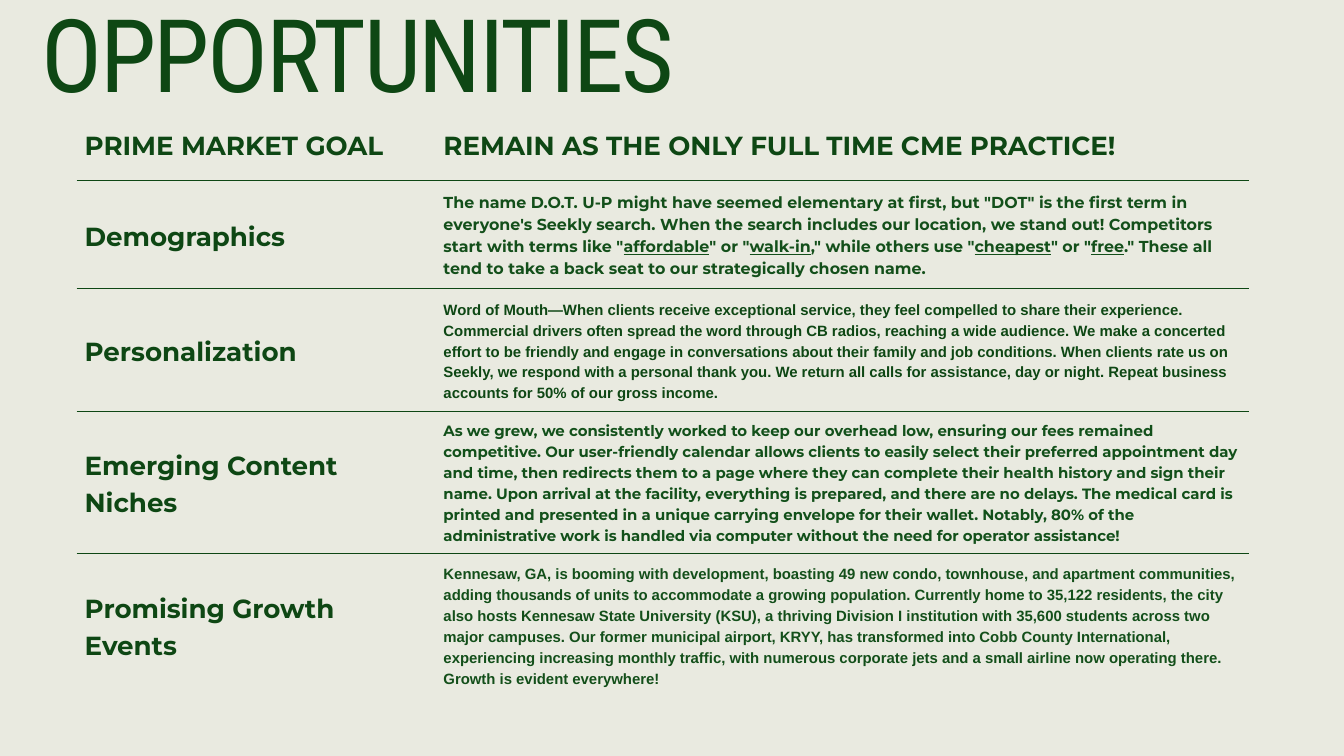
"""Build the market opportunities slide with its table of goals."""
from lxml import etree
from pptx import Presentation
from pptx import util as u
from pptx.dml.color import RGBColor
from pptx.enum import text
from pptx.oxml import ns

INK, MOSS, FERN, PAPER = "0E4714", "134F1A", "12501A", "E9EAE0"
SANS, ARIAL, SLIM = "Montserrat", "Arial", "Roboto Condensed"
TITLE = "OPPORTUNITIES"
COLS = [5.34, 12.1]
LEFT, TOP, PAD = 1.14, 1.59, 0.12

ROWS = [
    (1.1, "PRIME MARKET GOAL", "REMAIN AS THE ONLY FULL TIME CME PRACTICE!", 28, SANS, INK),
    (1.6, "Demographics",
     "The name D.O.T. U-P might have seemed elementary at first, but \"DOT\" is the first term in "
     "everyone's Seekly search. When the search includes our location, we stand out! Competitors "
     "start with terms like \"|affordable|\" or \"|walk-in|,\" while others use \"|cheapest|\" or "
     "\"|free|.\" These all tend to take a back seat to our strategically chosen name.",
     17, SANS, MOSS),
    (1.83, "Personalization",
     "Word of Mouth—When clients receive exceptional service, they feel compelled to share their "
     "experience. Commercial drivers often spread the word through CB radios, reaching a wide "
     "audience. We make a concerted effort to be friendly and engage in conversations about their "
     "family and job conditions. When clients rate us on Seekly, we respond with a personal thank "
     "you. We return all calls for assistance, day or night. Repeat business accounts for 50% of "
     "our gross income.", 16, ARIAL, INK),
    (2.12, "Emerging Content Niches",
     "As we grew, we consistently worked to keep our overhead low, ensuring our fees remained "
     "competitive. Our user-friendly calendar allows clients to easily select their preferred "
     "appointment day and time, then redirects them to a page where they can complete their health "
     "history and sign their name. Upon arrival at the facility, everything is prepared, and there "
     "are no delays. The medical card is printed and presented in a unique carrying envelope for "
     "their wallet. Notably, 80% of the administrative work is handled via computer without the "
     "need for operator assistance!", 16, SANS, FERN),
    (2.12, "Promising Growth Events",
     "Kennesaw, GA, is booming with development, boasting 49 new condo, townhouse, and apartment "
     "communities, adding thousands of units to accommodate a growing population. Currently home "
     "to 35,122 residents, the city also hosts Kennesaw State University (KSU), a thriving "
     "Division I institution with 35,600 students across two major campuses. Our former municipal "
     "airport, KRYY, has transformed into Cobb County International, experiencing increasing "
     "monthly traffic, with numerous corporate jets and a small airline now operating there. "
     "Growth is evident everywhere!", 16, ARIAL, MOSS),
]


def tint(code):
    return RGBColor.from_string(code)


def write(para, words, size, face, ink, bold, lead):
    para.line_spacing = u.Pt(lead)
    for i, part in enumerate(words.split("|")):
        run = para.add_run()
        run.text = part
        font = run.font
        font.size, font.name, font.bold = u.Pt(size), face, bold
        font.color.rgb = tint(ink)
        if i % 2:
            font.underline = True


def rule(cell, side, shown):
    props = cell._tc.get_or_add_tcPr()
    line = etree.SubElement(props, ns.qn("a:ln" + side), w=str(u.Pt(1.5) if shown else 0))
    if shown:
        fill = etree.SubElement(line, ns.qn("a:solidFill"))
        etree.SubElement(fill, ns.qn("a:srgbClr"), val=INK)
    else:
        etree.SubElement(line, ns.qn("a:noFill"))


def add_title(slide):
    box = slide.shapes.add_textbox(*map(u.Inches, (0.62, 0.37, 17.75, 1.67)))
    frame = box.text_frame
    frame.word_wrap = True
    frame.auto_size = text.MSO_AUTO_SIZE.SHAPE_TO_FIT_TEXT
    frame.margin_left = frame.margin_right = frame.margin_top = frame.margin_bottom = 0
    para = frame.paragraphs[0]
    write(para, TITLE, 108.8, SLIM, INK, False, 94.7)
    para.runs[0]._r.get_or_add_rPr().set("spc", "-270")


def add_goals(slide):
    high = sum(row[0] for row in ROWS)
    area = map(u.Inches, (LEFT, TOP, sum(COLS), high))
    table = slide.shapes.add_table(len(ROWS), len(COLS), *area).table
    table.first_row = table.horz_banding = False
    for col, wide in zip(table.columns, COLS):
        col.width = u.Inches(wide)
    for r, (tall, goal, body, size, face, ink) in enumerate(ROWS):
        table.rows[r].height = u.Inches(tall)
        for c, style in enumerate([(goal, 28, SANS, INK), (body, size, face, ink)]):
            cell = table.cell(r, c)
            cell.margin_left = cell.margin_right = u.Inches(PAD)
            cell.margin_top = cell.margin_bottom = u.Inches(PAD)
            cell.vertical_anchor = text.MSO_ANCHOR.MIDDLE
            for side, shown in zip("LRTB", (False, False, r > 0, r < len(ROWS) - 1)):
                rule(cell, side, shown)
            cell.fill.background()
            write(cell.text_frame.paragraphs[0], *style, True, style[1] * 1.4)


def main():
    deck = Presentation()
    deck.slide_width, deck.slide_height = u.Inches(20), u.Inches(11.25)
    slide = deck.slides.add_slide(deck.slide_layouts[6])
    back = slide.background.fill
    back.solid()
    back.fore_color.rgb = tint(PAPER)
    add_goals(slide)
    add_title(slide)
    deck.save("out.pptx")


if __name__ == "__main__":
    main()
